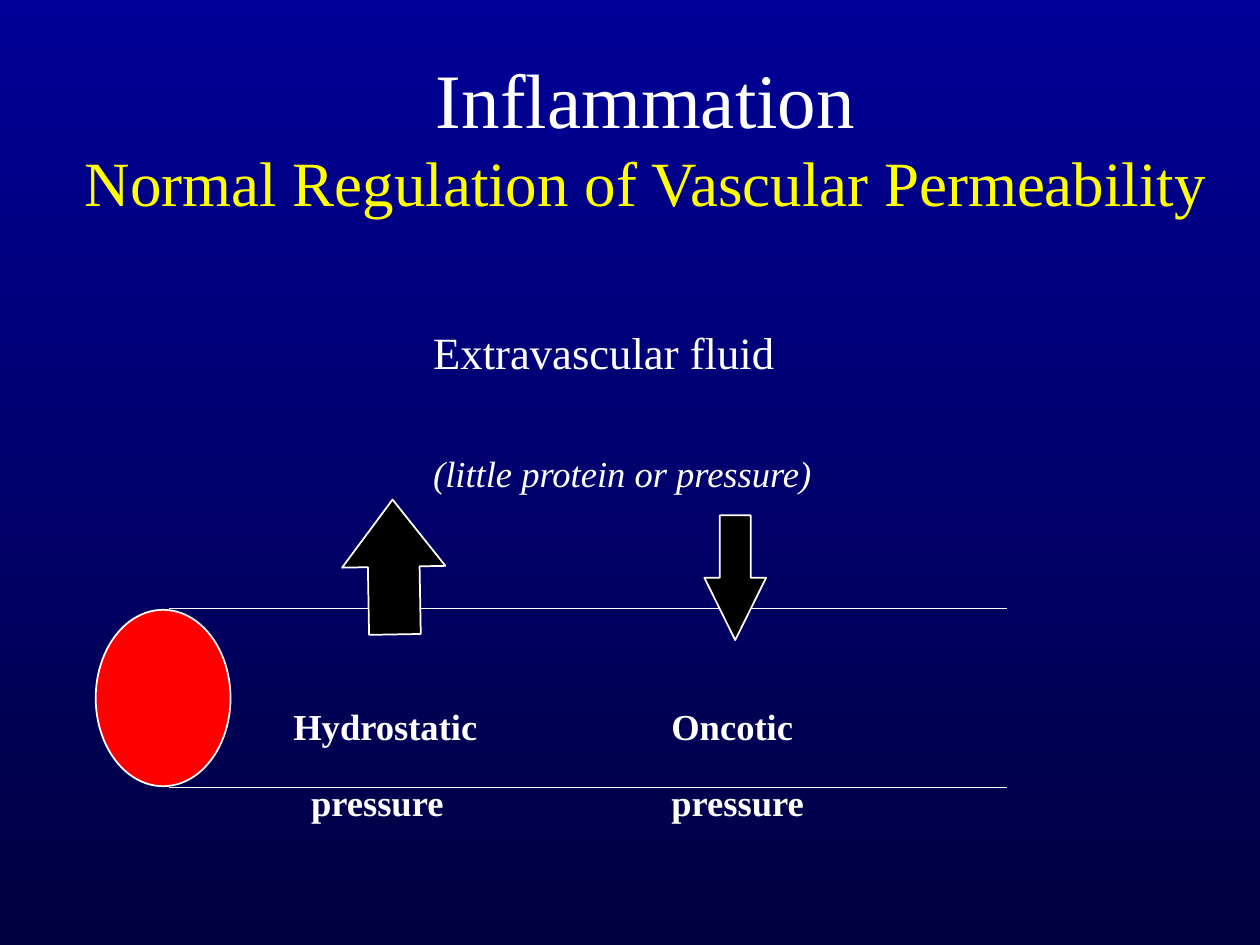
"""Build a slide on the normal regulation of vascular permeability."""
from dataclasses import dataclass
from lxml import etree
from pptx import Presentation
from pptx.dml.color import RGBColor
from pptx.enum import shapes, text
from pptx.oxml.ns import qn
from pptx.util import Inches, Pt

WHITE = RGBColor(0xFF, 0xFF, 0xFF)
YELLOW = RGBColor(0xFF, 0xFF, 0x00)
RED = RGBColor(0xFF, 0x00, 0x00)
BLACK = RGBColor(0x00, 0x00, 0x00)
TOP = RGBColor(0x00, 0x00, 0x99)
BASE = RGBColor(0x00, 0x00, 0x41)
FONT = "Times New Roman"
KIND = shapes.MSO_SHAPE


@dataclass
class Line:
    words: str
    size: float
    bold: bool = False
    slant: bool = False
    gap: float = 0
    indent: float = 0


@dataclass
class Label:
    box: tuple
    lines: list


@dataclass
class Form:
    kind: KIND
    box: tuple
    fill: RGBColor
    turn: float = 0
    adjust: tuple = ()


LABELS = [
    Label((3.34, 2.46, 4.5, 1.5), [
        Line("Extravascular fluid", 44),
        Line("(little protein or pressure)", 36, slant=True, gap=20)]),
    Label((2.23, 5.48, 1.88, 0.9), [
        Line("Hydrostatic", 36, bold=True),
        Line("pressure", 36, bold=True, indent=0.14)]),
    Label((5.23, 5.48, 1.42, 0.9), [
        Line("Oncotic", 36, bold=True),
        Line("pressure", 36, bold=True)]),
]
VESSEL = Form(KIND.OVAL, (0.76, 4.84, 1.07, 1.4), RED)
ARROWS = [
    Form(KIND.RIGHT_ARROW, (2.59, 4.09, 1.07, 0.82), BLACK, 269, (0.5, 0.65)),
    Form(KIND.DOWN_ARROW, (5.59, 4.09, 0.49, 0.99), BLACK, 0, (0.5, 1.01)),
]
WALLS = (4.83, 6.25)


def style(run, size: float, color: RGBColor = WHITE) -> None:
    """Set the face, size and colour of a run."""
    run.font.name = FONT
    run.font.size = Pt(size)
    run.font.color.rgb = color


def place(shape, box: tuple) -> None:
    """Move and size a shape."""
    shape.left, shape.top, shape.width, shape.height = map(Inches, box)


def head(slide) -> None:
    """Fill the title."""
    title = slide.shapes.title
    place(title, (0.5, 0.58, 9.25, 1.21))
    frame = title.text_frame
    frame.vertical_anchor = text.MSO_ANCHOR.BOTTOM
    frame.auto_size = text.MSO_AUTO_SIZE.NONE
    para = frame.paragraphs[0]
    para.alignment = text.PP_ALIGN.CENTER
    run = para.add_run()
    run.text = "Inflammation"
    style(run, 44)
    para.add_line_break()
    run = para.add_run()
    run.text = "Normal Regulation of Vascular Permeability"
    style(run, 36, YELLOW)


def form(slide, item: Form) -> None:
    """Draw a filled shape with a white outline."""
    shape = slide.shapes.add_shape(item.kind, *map(Inches, item.box))
    shape.shadow.inherit = False
    shape.rotation = item.turn
    for i, value in enumerate(item.adjust):
        shape.adjustments[i] = value
    shape.fill.solid()
    shape.fill.fore_color.rgb = item.fill
    shape.line.color.rgb = WHITE
    shape.line.width = Pt(1)


def wall(slide, y: float) -> None:
    """Draw one wall of the vessel."""
    line = slide.shapes.add_connector(
        shapes.MSO_CONNECTOR.STRAIGHT,
        Inches(1.34), Inches(y), Inches(7.99), Inches(y))
    line.line.color.rgb = WHITE
    line.line.width = Pt(1)
    etree.SubElement(line._element.spPr, qn("a:effectLst"))


def label(slide, item: Label) -> None:
    """Write a block of raised text."""
    frame = slide.shapes.add_textbox(*map(Inches, item.box)).text_frame
    frame.word_wrap = True
    for i, line in enumerate(item.lines):
        para = frame.add_paragraph() if i else frame.paragraphs[0]
        if line.gap:
            para.space_before = Pt(line.gap)
        if line.indent:
            para._p.get_or_add_pPr().set("marL", str(Inches(line.indent)))
        run = para.add_run()
        run.text = line.words
        style(run, line.size)
        run.font.bold = line.bold
        run.font.italic = line.slant
        run._r.get_or_add_rPr().set("baseline", "30000")


def main() -> None:
    """Build and save the slide."""
    deck = Presentation()
    deck.slide_width, deck.slide_height = Inches(10), Inches(7.5)
    slide = deck.slides.add_slide(deck.slide_layouts[5])
    fill = slide.background.fill
    fill.gradient()
    fill.gradient_angle = 270
    for stop, color in zip(fill.gradient_stops, (TOP, BASE)):
        stop.color.rgb = color
    head(slide)
    form(slide, VESSEL)
    for y in WALLS:
        wall(slide, y)
    for item in LABELS:
        label(slide, item)
    for item in ARROWS:
        form(slide, item)
    deck.save("out.pptx")


if __name__ == "__main__":
    main()
